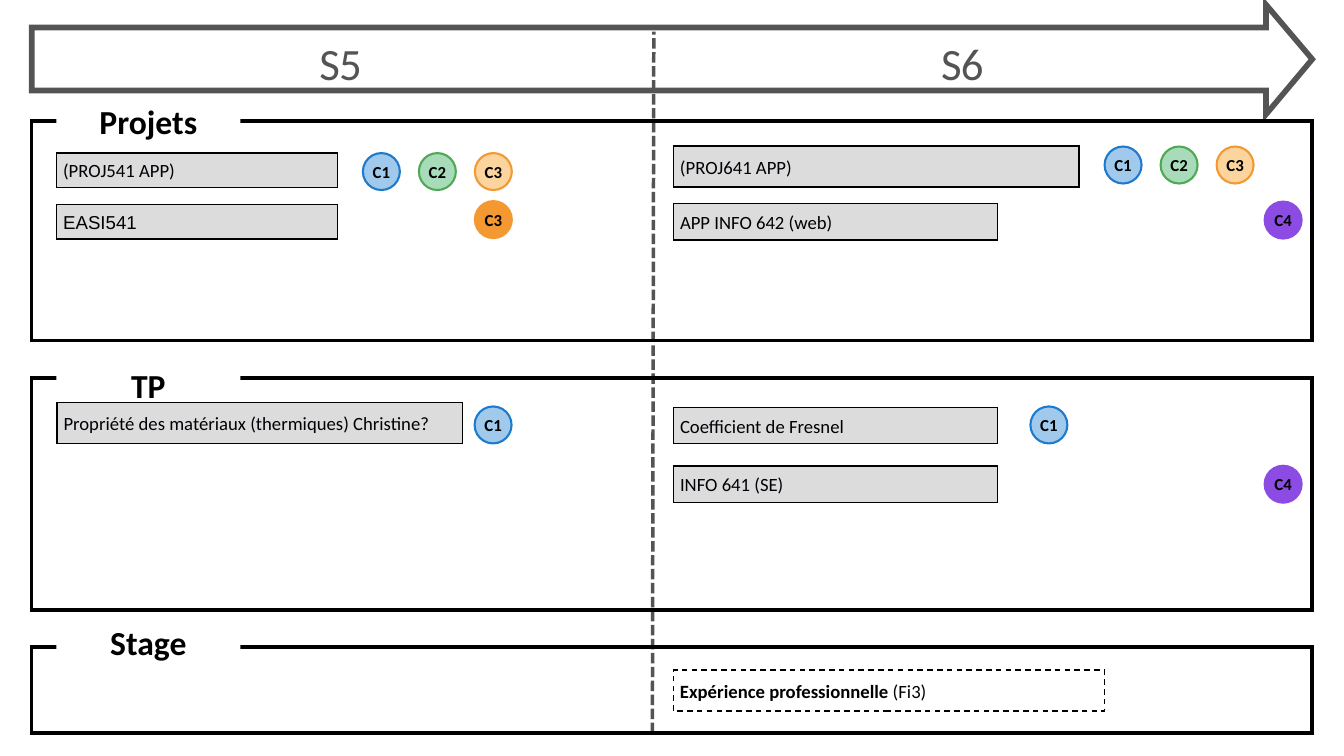
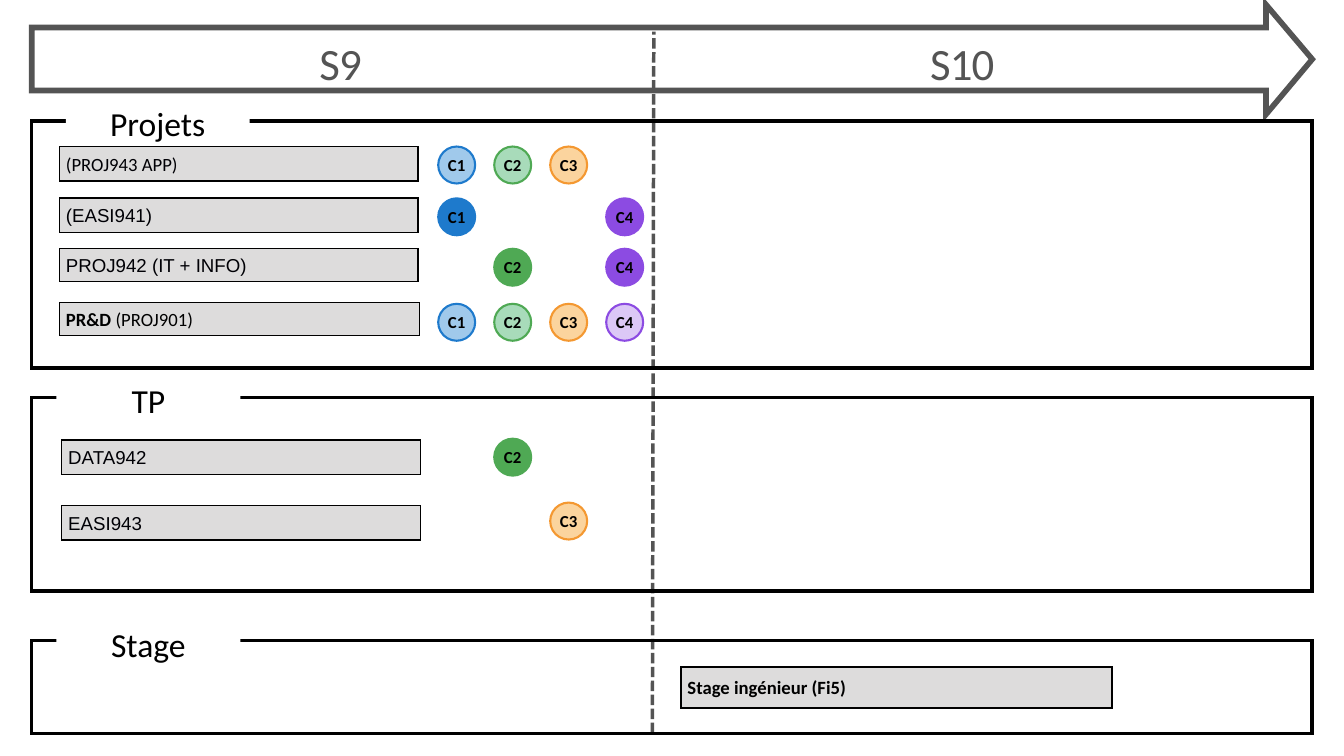
from dataclasses import dataclass

from lxml import etree
from pptx import Presentation
from pptx.dml.color import RGBColor
from pptx.enum.dml import MSO_LINE_DASH_STYLE as Dash
from pptx.enum.shapes import MSO_CONNECTOR as Connector, MSO_SHAPE as Preset
from pptx.enum.text import MSO_ANCHOR as Anchor, MSO_AUTO_SIZE as AutoSize, PP_ALIGN as Align
from pptx.oxml.ns import qn
from pptx.shapes.autoshape import Shape
from pptx.slide import Slide
from pptx.util import Pt

COLORS = {
    "black": "000000", "ink": "000005", "white": "FFFFFF",
    "timeline": "545454", "course": "DDDCDC",
    "C1": "1E7ACC", "C2": "4FA954", "C3": "F49831", "C4": "8C4BE2",
    "C1 light": "A0C9EB", "C2 light": "A8DBBA", "C3 light": "FBD49E",
    "C4 light": "8C4BE2",
}
LIGHT_C4_ALPHA = 30
SKILLS = ("C1", "C2", "C3", "C4")
SKILL_PITCH = 60
BADGE_SIZE = 39.6
FRAME_LEFT, FRAME_WIDTH = 34, 1372
TITLE_WIDTH, TITLE_HEIGHT = 197, 44
ARROW_POINTS = ((1406, 63.5), (1356.5, 5), (1356.5, 29.5), (34, 29.5),
                (34, 97), (1356.5, 97), (1356.5, 122.5))


@dataclass(frozen=True)
class Badges:
    """Skills of one course; left is where the C1 column stands."""
    left: float
    top: float
    light: tuple[str, ...] = ()
    full: tuple[str, ...] = ()


@dataclass(frozen=True)
class Course:
    text: str
    left: float
    top: float
    width: float
    height: float
    badges: Badges | None = None
    bold_lead: str = ""
    font: str = "Calibri"
    dashed: bool = False


@dataclass(frozen=True)
class Section:
    title: str
    top: float
    bottom: float
    title_top: float
    courses: tuple[Course, ...] = ()
    title_left: float = 60.5


@dataclass(frozen=True)
class Year:
    semesters: tuple[str, str]
    sections: tuple[Section, ...]
    bold_titles: bool


YEARS = (
    Year(("S5", "S6"), (
        Section("Projets", 129.5, 365, 107.5, (
            Course("(PROJ541 APP)", 60.5, 164, 301, 37,
                   Badges(388.8, 164, light=("C1", "C2", "C3"))),
            Course("EASI541", 60.5, 219, 301, 37,
                   Badges(388.8, 215.5, full=("C3",)), font="Arial"),
            Course("(PROJ641 APP)", 721.5, 156.5, 434.5, 44,
                   Badges(1183.5, 157, light=("C1", "C2", "C3"))),
            Course("APP INFO 642 (web)", 721.5, 218, 347, 39,
                   Badges(1175, 216, full=("C4",))),
        )),
        Section("TP", 405, 653.5, 387.5, (
            Course("Propriété des matériaux (thermiques) Christine?",
                   61, 431.5, 434.5, 44, Badges(508.5, 435.5, light=("C1",))),
            Course("Coefficient de Fresnel", 721.5, 436.5, 347, 39,
                   Badges(1104, 435.5, light=("C1",))),
            Course("INFO 641 (SE)", 721.5, 499.5, 347, 39,
                   Badges(1175, 499, full=("C4",))),
        )),
        Section("Stage", 693.5, 785.5, 663, (
            Course("(Fi3)", 721.5, 718, 462, 44,
                   bold_lead="Expérience professionnelle ", dashed=True),
        )),
    ), bold_titles=True),
    Year(("S9", "S10"), (
        Section("Projets", 129.5, 394.5, 109.5, (
            Course("(PROJ943 APP)", 63.5, 157, 384.5, 37,
                   Badges(469.5, 157, light=("C1", "C2", "C3"))),
            Course("(EASI941)", 63.5, 212, 384.5, 37,
                   Badges(469.5, 212.5, full=("C1", "C4")), font="Arial"),
            Course("PROJ942 (IT + INFO)", 63.5, 266.5, 384.5, 35,
                   Badges(469.5, 266.5, full=("C2", "C4")), font="Arial"),
            Course("(PROJ901)", 63.5, 324, 386, 35.5,
                   Badges(469.5, 325.5, light=SKILLS), bold_lead="PR&D "),
        ), title_left=70.5),
        Section("TP", 426, 633, 403, (
            Course("DATA942", 66, 471.5, 384.5, 37,
                   Badges(469.5, 470, full=("C2",)), font="Arial"),
            Course("EASI943", 66, 541.5, 384.5, 37,
                   Badges(469.5, 538.5, light=("C3",)), font="Arial"),
        )),
        Section("Stage", 686, 786, 664.5, (
            Course("", 729.5, 714.5, 462, 44, bold_lead="Stage ingénieur (Fi5)"),
        )),
    ), bold_titles=False),
)


def rgb(name: str) -> RGBColor:
    return RGBColor.from_string(COLORS[name])


def style_shape(shape: Shape, fill: str | None, line: str | None, width: float = 0) -> None:
    shape.shadow.inherit = False
    if fill:
        shape.fill.solid()
        shape.fill.fore_color.rgb = rgb(fill)
    else:
        shape.fill.background()
    if line:
        shape.line.color.rgb = rgb(line)
        shape.line.width = Pt(width)
        miter = etree.SubElement(shape.line._get_or_add_ln(), qn("a:miter"))
        miter.set("lim", "800000")
    else:
        shape.line.fill.background()


def add_box(slide: Slide, preset: Preset, left: float, top: float,
            width: float, height: float) -> Shape:
    return slide.shapes.add_shape(preset, Pt(left), Pt(top), Pt(width), Pt(height))


def write(shape: Shape, text: str, size: float, color: str, align: Align,
          bold_lead: str = "", font: str = "Calibri", anchor: Anchor = Anchor.MIDDLE) -> None:
    """Fill a shape with one paragraph, whose lead is bold."""
    text_frame = shape.text_frame
    text_frame.word_wrap = True
    text_frame.vertical_anchor = anchor
    paragraph = text_frame.paragraphs[0]
    paragraph.alignment = align
    for part, bold in ((bold_lead, True), (text, False)):
        if part:
            run = paragraph.add_run()
            run.text = part
            run.font.name = font
            run.font.size = Pt(size)
            run.font.bold = bold
            run.font.color.rgb = rgb(color)


def remove_insets(shape: Shape) -> None:
    text_frame = shape.text_frame
    text_frame.margin_left = text_frame.margin_right = 0
    text_frame.margin_top = text_frame.margin_bottom = 0


def add_timeline(slide: Slide, semesters: tuple[str, str]) -> None:
    points = [(Pt(x), Pt(y)) for x, y in ARROW_POINTS]
    builder = slide.shapes.build_freeform(*points[0])
    builder.add_line_segments(points[1:], close=True)
    style_shape(builder.convert_to_shape(), None, "timeline", 6)

    divider = slide.shapes.add_connector(
        Connector.STRAIGHT, Pt(699), Pt(785.5), Pt(700.5), Pt(34))
    divider.line.color.rgb = rgb("timeline")
    divider.line.width = Pt(3.75)
    divider.line.dash_style = Dash.SQUARE_DOT
    etree.SubElement(divider._element.spPr, qn("a:effectLst"))

    for semester, left, width in zip(semesters, (36, 706), (658, 650)):
        heading = slide.shapes.add_textbox(Pt(left), Pt(33), Pt(width), Pt(60))
        remove_insets(heading)
        write(heading, semester, 48, "timeline", Align.CENTER, anchor=Anchor.TOP)
        heading.text_frame.auto_size = AutoSize.SHAPE_TO_FIT_TEXT
        paragraph = heading.text_frame.paragraphs[0]
        paragraph.line_spacing = Pt(62.4)
        paragraph.runs[0].font._element.set("spc", "-100")


def add_badge(slide: Slide, skill: str, light: bool, left: float, top: float) -> None:
    badge = add_box(slide, Preset.OVAL, left, top, BADGE_SIZE, BADGE_SIZE)
    style_shape(badge, f"{skill} light" if light else skill, skill, 2.25)
    if light and skill == "C4":
        color = badge._element.spPr.find(qn("a:solidFill"))[0]
        etree.SubElement(color, qn("a:alpha")).set("val", str(LIGHT_C4_ALPHA * 1000))
    remove_insets(badge)
    write(badge, "", 18, "black", Align.CENTER, bold_lead=skill)


def add_course(slide: Slide, course: Course) -> None:
    box = add_box(slide, Preset.RECTANGLE, course.left, course.top, course.width, course.height)
    style_shape(box, None if course.dashed else "course", "black", 1.5)
    if course.dashed:
        box.line.dash_style = Dash.DASH
    write(box, course.text, 20, "black" if course.bold_lead else "ink", Align.LEFT,
          course.bold_lead, course.font)
    badges = course.badges
    if badges:
        for column, skill in enumerate(SKILLS):
            if skill in badges.light + badges.full:
                add_badge(slide, skill, skill in badges.light,
                          badges.left + column * SKILL_PITCH, badges.top)


def add_section(slide: Slide, section: Section, bold_title: bool) -> None:
    frame = add_box(slide, Preset.RECTANGLE, FRAME_LEFT, section.top,
                    FRAME_WIDTH, section.bottom - section.top)
    style_shape(frame, None, "black", 3.75)
    title = add_box(slide, Preset.RECTANGLE, section.title_left, section.title_top,
                    TITLE_WIDTH, TITLE_HEIGHT)
    style_shape(title, "white", None)
    lead, text = (section.title, "") if bold_title else ("", section.title)
    anchor = Anchor.MIDDLE if section.title == "Projets" else Anchor.TOP
    write(title, text, 36, "black", Align.CENTER, lead, anchor=anchor)
    for course in section.courses:
        add_course(slide, course)


def main() -> None:
    presentation = Presentation()
    presentation.slide_width, presentation.slide_height = Pt(1440), Pt(810)
    for year in YEARS:
        slide = presentation.slides.add_slide(presentation.slide_layouts[6])
        add_timeline(slide, year.semesters)
        for section in year.sections:
            add_section(slide, section, year.bold_titles)
    presentation.save("out.pptx")


if __name__ == "__main__":
    main()
